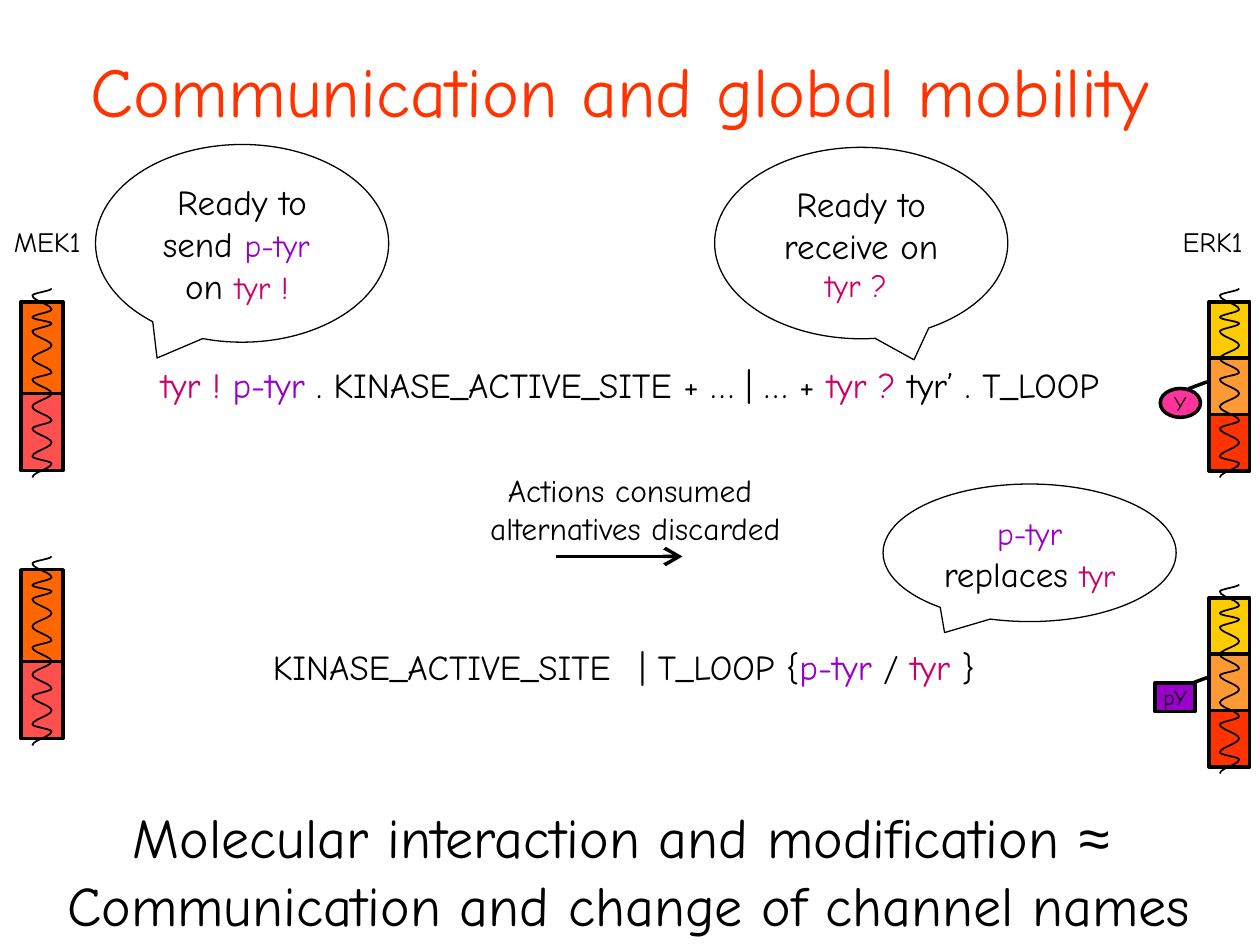
import math
from dataclasses import dataclass

import lxml.etree
import pptx
import pptx.dml.color
import pptx.enum.shapes
import pptx.enum.text
import pptx.oxml.ns
import pptx.util

Pt = pptx.util.Pt
RGB = pptx.dml.color.RGBColor
SHAPE = pptx.enum.shapes.MSO_SHAPE
ANCHOR = pptx.enum.text.MSO_ANCHOR
qn = pptx.oxml.ns.qn

BLACK = RGB(0x00, 0x00, 0x00)
WHITE = RGB(0xFF, 0xFF, 0xFF)
TITLE_RED = RGB(0xFF, 0x33, 0x00)
TYR = RGB(0xCC, 0x00, 0x66)
P_TYR = RGB(0x99, 0x00, 0xCC)
ORANGE = RGB(0xFF, 0x66, 0x00)
CORAL = RGB(0xFF, 0x50, 0x50)
YELLOW = RGB(0xFF, 0xCC, 0x00)
LIGHT_ORANGE = RGB(0xFF, 0x99, 0x33)
PINK = RGB(0xFF, 0x33, 0x99)

FONT = "Comic Neue"
# Heights at which the coil turns, alternately at its right and left edge
COIL_TURNS = (0, 4, 12, 16.5, 20, 24.5, 32.5, 40, 48,
              52, 60, 67.5, 75.5, 80, 88, 96, 100, 108)
COIL_WIDTH = 11
COIL_STEPS = 6


@dataclass(frozen=True)
class Box:
    x: float
    y: float
    w: float
    h: float


@dataclass(frozen=True)
class Span:
    text: str
    size: float
    color: RGB = BLACK
    font: str = FONT
    spacing: float = 0


@dataclass(frozen=True)
class TextBlock:
    box: Box
    spans: tuple[Span, ...]
    before: float = 0
    middle: bool = False
    wrap: bool = True
    fill: RGB | None = None


@dataclass(frozen=True)
class Callout:
    box: Box
    tip: tuple[float, float]
    spans: tuple[Span, ...]


@dataclass(frozen=True)
class Domain:
    height: float
    color: RGB


@dataclass(frozen=True)
class Protein:
    x: float
    y: float
    width: float
    domains: tuple[Domain, ...]


@dataclass(frozen=True)
class Residue:
    name: str
    shape: SHAPE
    box: Box
    color: RGB
    stem_y: float


def write(sp, spans: tuple[Span, ...], before: float, middle: bool = True,
          wrap: bool = True, inset: float = 7.2) -> None:
    tf = sp.text_frame
    tf.word_wrap = wrap
    tf.vertical_anchor = ANCHOR.MIDDLE if middle else ANCHOR.TOP
    tf.margin_left = tf.margin_right = Pt(inset)
    tf.margin_top = tf.margin_bottom = Pt(3.6)
    p = tf.paragraphs[0]
    p.alignment = pptx.enum.text.PP_ALIGN.CENTER
    p.space_before = Pt(before)
    for span in spans:
        for i, line in enumerate(span.text.split("\n")):
            if i:
                p.add_line_break()
            if not line:
                continue
            r = p.add_run()
            r.text = line
            r.font.size = Pt(span.size)
            r.font.name = span.font
            r.font.color.rgb = span.color
            if span.spacing:
                r.font._element.set("spc", str(round(span.spacing * 100)))


def add_shape(s, kind: SHAPE, box: Box, fill: RGB | None, line: float):
    sp = s.shapes.add_shape(kind, Pt(box.x), Pt(box.y), Pt(box.w), Pt(box.h))
    sp.shadow.inherit = False
    if fill is None:
        sp.fill.background()
    else:
        sp.fill.solid()
        sp.fill.fore_color.rgb = fill
    sp.line.color.rgb = BLACK
    sp.line.width = Pt(line)
    return sp


def add_text(s, block: TextBlock) -> None:
    b = block.box
    sp = s.shapes.add_textbox(Pt(b.x), Pt(b.y), Pt(b.w), Pt(b.h))
    if block.fill is not None:
        sp.fill.solid()
        sp.fill.fore_color.rgb = block.fill
    write(sp, block.spans, block.before, block.middle, block.wrap)


def add_callout(s, callout: Callout) -> None:
    sp = add_shape(s, SHAPE.OVAL_CALLOUT, callout.box, None, 0.75)
    sp.adjustments[0], sp.adjustments[1] = callout.tip
    write(sp, callout.spans, 11.2, inset=3.6)


def add_line(s, x1: float, y1: float, x2: float, y2: float, arrow: bool = False) -> None:
    c = s.shapes.add_connector(pptx.enum.shapes.MSO_CONNECTOR.STRAIGHT,
                               Pt(x1), Pt(y1), Pt(x2), Pt(y2))
    c.line.color.rgb = BLACK
    c.line.width = Pt(2)
    if arrow:
        lxml.etree.SubElement(c.line._get_or_add_ln(), qn("a:tailEnd"),
                              type="arrow", w="lg", len="lg")
    lxml.etree.SubElement(c._element.spPr, qn("a:effectLst"))


def add_coil(s, x: float, y: float) -> None:
    points = [(Pt(x + COIL_WIDTH), Pt(y))]
    for i, (top, bottom) in enumerate(zip(COIL_TURNS, COIL_TURNS[1:])):
        for step in range(1, COIL_STEPS + 1):
            t = step / COIL_STEPS
            swing = (1 + math.cos(math.pi * (i + t))) / 2
            points.append((Pt(x + COIL_WIDTH * swing), Pt(y + top + (bottom - top) * t)))
    fb = s.shapes.build_freeform(*points[0])
    fb.add_line_segments(points[1:], close=False)
    sp = fb.convert_to_shape()
    sp.shadow.inherit = False
    sp.fill.background()
    sp.line.color.rgb = BLACK
    sp.line.width = Pt(1)


def add_protein(s, protein: Protein) -> None:
    y = protein.y
    for domain in protein.domains:
        add_shape(s, SHAPE.RECTANGLE, Box(protein.x, y, protein.width, domain.height),
                  domain.color, 2)
        y += domain.height
    add_coil(s, protein.x + (protein.width - COIL_WIDTH) / 2, protein.y - 7.6)


def add_residue(s, residue: Residue) -> None:
    add_line(s, 689.8, residue.stem_y, 679, residue.stem_y + 4)
    sp = add_shape(s, residue.shape, residue.box, residue.color, 2)
    write(sp, (Span(residue.name, 12),), 7.5, wrap=False)


MEK1 = (Domain(52.5, ORANGE), Domain(44, CORAL))
ERK1 = (Domain(32.2, YELLOW), Domain(32.2, LIGHT_ORANGE), Domain(32.2, TITLE_RED))

PROTEINS = (
    Protein(12, 172.5, 24, MEK1), Protein(691, 172.5, 23.2, ERK1),
    Protein(12, 325.6, 24, MEK1), Protein(691, 341.6, 23.2, ERK1),
)
RESIDUES = (
    Residue("Y", SHAPE.OVAL, Box(663, 222, 23, 16.5), PINK, 218.2),
    Residue("pY", SHAPE.RECTANGLE, Box(660, 390.2, 23, 16.5), P_TYR, 387.2),
)
TEXTS = (
    # Title
    TextBlock(Box(0, 6, 708, 90), (Span("Communication and global mobility", 40, TITLE_RED),),
              middle=True),
    # Processes before and after the interaction
    TextBlock(Box(9, 204, 702, 42), (
        Span("tyr ! ", 20, TYR), Span("p-tyr", 20, P_TYR),
        Span(" . KINASE_ACTIVE_SITE + … | … + ", 20),
        Span("tyr ?", 20, TYR), Span(" tyr’ . T_LOOP", 20)), 12.5),
    TextBlock(Box(126.5, 361.2, 460, 36), (
        Span("KINASE_ACTIVE_SITE", 20), Span(" ", 24, spacing=8), Span("| T_LOOP {", 20),
        Span("p-tyr ", 20, P_TYR), Span("/ ", 20), Span("tyr ", 20, TYR), Span("}", 20)),
        12.5, wrap=False),
    TextBlock(Box(210, 270, 306, 42),
              (Span("Actions consumed \nalternatives discarded", 18),), 11.2, True, False),
    # Conclusion
    TextBlock(Box(9.5, 455.2, 700, 84), (
        Span("Molecular interaction and modification ", 32), Span("≈ \n", 32, font="Arial"),
        Span("Communication and change of channel names", 32)), 20, wrap=False),
    # Protein names
    TextBlock(Box(666, 117, 54, 42), (Span("ERK1", 16),), 10, True, False, WHITE),
    TextBlock(Box(0, 117, 54, 42), (Span("MEK1", 16),), 10, True, False, WHITE),
)
CALLOUTS = (
    Callout(Box(54.6, 82.6, 167.5, 113), (-0.29, 0.58), (
        Span("Ready to send ", 20), Span("p-tyr", 18, P_TYR),
        Span(" \non ", 20), Span("tyr ! ", 18, TYR))),
    Callout(Box(408.4, 84.2, 167.5, 109.4), (0.18, 0.61), (
        Span("Ready to receive on ", 20), Span("tyr ? ", 18, TYR))),
    Callout(Box(504.6, 276.6, 167.5, 78.6), (-0.29, 0.58), (
        Span("p-tyr", 18, P_TYR), Span(" replaces ", 20), Span("tyr", 18, TYR))),
)


def main() -> None:
    prs = pptx.Presentation()
    prs.slide_width, prs.slide_height = Pt(720), Pt(540)
    s = prs.slides.add_slide(prs.slide_layouts[6])
    for block in TEXTS:
        add_text(s, block)
    for protein in PROTEINS:
        add_protein(s, protein)
    for residue in RESIDUES:
        add_residue(s, residue)
    for callout in CALLOUTS:
        add_callout(s, callout)
    add_line(s, 318, 318, 390, 318, arrow=True)
    prs.save("out.pptx")


if __name__ == "__main__":
    main()
